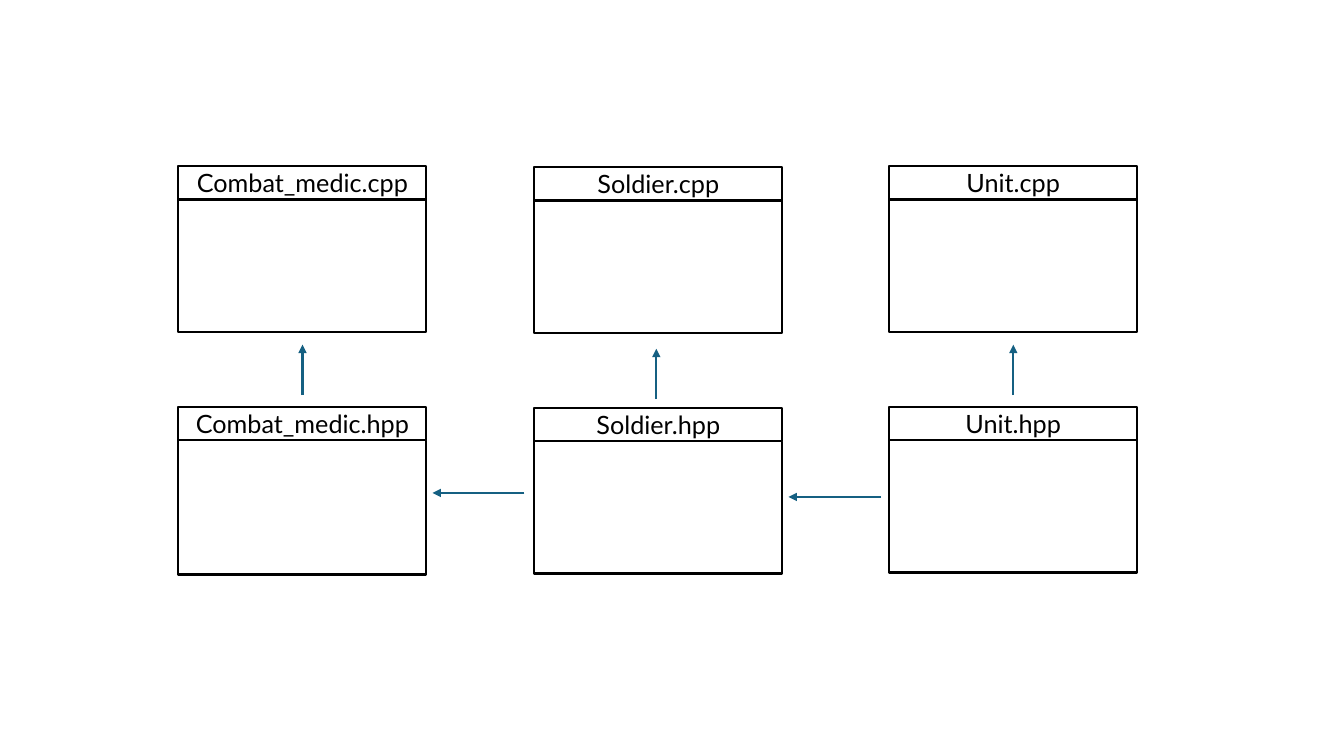
from dataclasses import dataclass

from lxml import etree
from pptx import Presentation
from pptx import util as u
from pptx.dml.color import RGBColor
from pptx.enum import shapes, text
from pptx.oxml.ns import qn
from pptx.shapes.autoshape import Shape
from pptx.slide import Slide

EMU_PER_PX = 9144  # 100 px to the inch


@dataclass(frozen=True)
class Theme:
    paper: RGBColor = RGBColor(0xFF, 0xFF, 0xFF)
    ink: RGBColor = RGBColor(0x00, 0x00, 0x00)
    arrow: RGBColor = RGBColor(0x15, 0x60, 0x82)
    font: str = "Lato"
    label_size: u.Pt = u.Pt(18)
    line_width: u.Pt = u.Pt(1.5)


@dataclass(frozen=True)
class FileBox:
    name: str
    left: int
    top: int
    body_offset: int = 25


@dataclass(frozen=True)
class Arrow:
    start: tuple[int, int]
    dx: int = 0
    dy: int = 0


THEME = Theme()
SLIDE_WIDTH, SLIDE_HEIGHT = 1333, 750
BOX_WIDTH, HEADER_HEIGHT, BODY_HEIGHT = 246, 33, 139
MEDIC_LEFT, SOLDIER_LEFT, UNIT_LEFT = 177, 530, 882
SOURCE_TOP, HEADER_TOP = 165, 404

FILE_BOXES = [
    FileBox("Combat_medic.hpp", MEDIC_LEFT, HEADER_TOP, body_offset=27),
    FileBox("Soldier.hpp", SOLDIER_LEFT, HEADER_TOP + 1),
    FileBox("Unit.hpp", UNIT_LEFT, HEADER_TOP),
    FileBox("Combat_medic.cpp", MEDIC_LEFT, SOURCE_TOP),
    FileBox("Soldier.cpp", SOLDIER_LEFT, SOURCE_TOP + 1),
    FileBox("Unit.cpp", UNIT_LEFT, SOURCE_TOP),
]
ARROWS = [
    # Between the header files
    Arrow((520, 489), dx=-91),
    Arrow((874, 493), dx=-92),
    # From each header file up to its source file
    Arrow((300, 392), dy=-50),
    Arrow((651, 396), dy=-50),
    Arrow((1005, 392), dy=-50),
]


def px(length: int) -> u.Emu:
    return u.Emu(length * EMU_PER_PX)


def apply_format(target: object, values: dict[str, object]) -> None:
    for name, value in values.items():
        setattr(target, name, value)


def draw_rectangle(slide: Slide, left: int, top: int, height: int) -> Shape:
    shape = slide.shapes.add_shape(
        shapes.MSO_SHAPE.RECTANGLE, px(left), px(top), px(BOX_WIDTH), px(height)
    )
    shape.shadow.inherit = False
    shape.fill.solid()
    shape.fill.fore_color.rgb = THEME.paper
    shape.line.color.rgb = THEME.ink
    shape.line.width = THEME.line_width
    return shape


def draw_file_box(slide: Slide, box: FileBox) -> None:
    draw_rectangle(slide, box.left, box.top + box.body_offset, BODY_HEIGHT)
    header = draw_rectangle(slide, box.left, box.top, HEADER_HEIGHT)
    frame = header.text_frame
    apply_format(frame, {"word_wrap": True, "vertical_anchor": text.MSO_ANCHOR.MIDDLE})
    paragraph = frame.paragraphs[0]
    paragraph.alignment = text.PP_ALIGN.CENTER
    run = paragraph.add_run()
    run.text = box.name
    apply_format(run.font, {"name": THEME.font, "size": THEME.label_size})
    run.font.color.rgb = THEME.ink


def draw_arrow(slide: Slide, arrow: Arrow) -> None:
    left, top = arrow.start
    connector = slide.shapes.add_connector(
        shapes.MSO_CONNECTOR.STRAIGHT,
        px(left), px(top), px(left + arrow.dx), px(top + arrow.dy),
    )
    connector.line.color.rgb = THEME.arrow
    connector.line.width = THEME.line_width
    # Arrowhead, and no shadow
    etree.SubElement(connector.line._get_or_add_ln(), qn("a:tailEnd"), type="triangle")
    etree.SubElement(connector._element.spPr, qn("a:effectLst"))


def main() -> None:
    presentation = Presentation()
    presentation.slide_width = px(SLIDE_WIDTH)
    presentation.slide_height = px(SLIDE_HEIGHT)
    blank_layout = presentation.slide_layouts[6]
    slide = presentation.slides.add_slide(blank_layout)
    for box in FILE_BOXES:
        draw_file_box(slide, box)
    for arrow in ARROWS:
        draw_arrow(slide, arrow)
    presentation.save("out.pptx")


if __name__ == "__main__":
    main()
